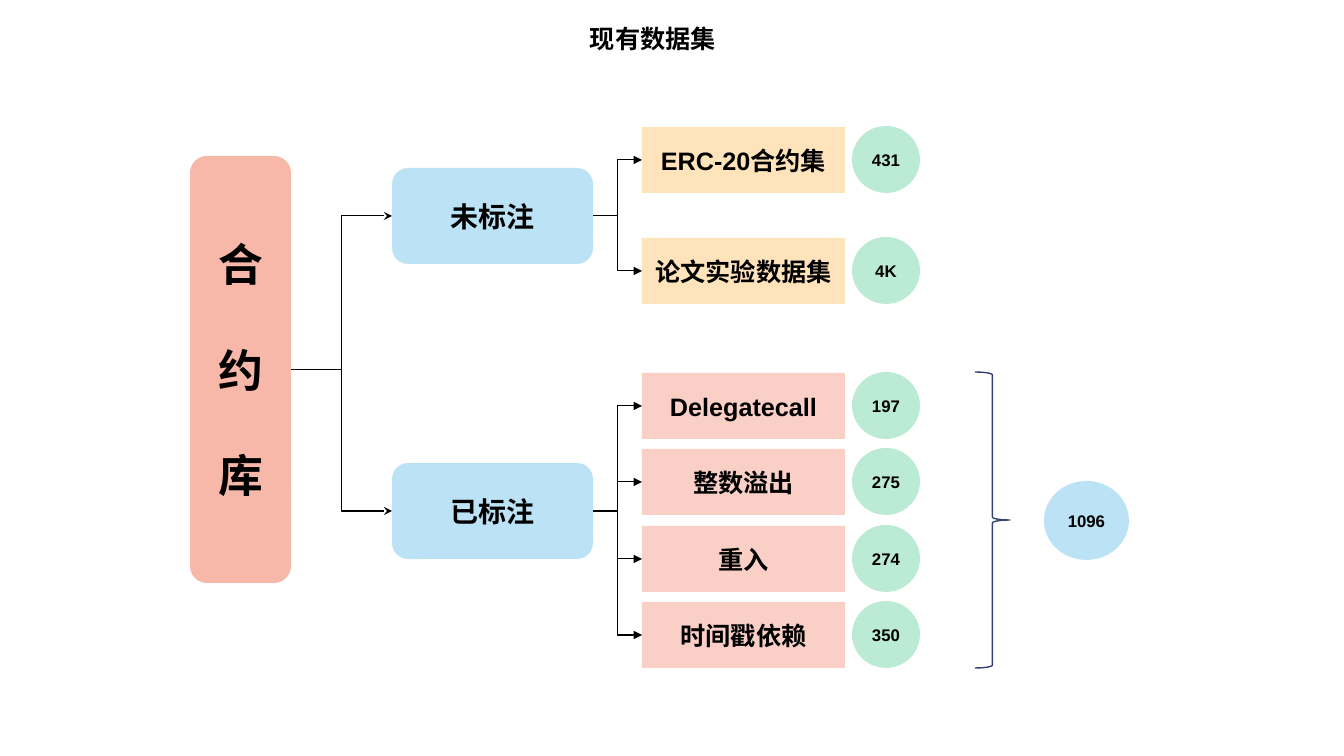
from pptx import Presentation
from pptx.dml.color import RGBColor
from pptx.enum.shapes import MSO_CONNECTOR as Connector, MSO_SHAPE as Preset
from pptx.enum.text import MSO_ANCHOR as Anchor, PP_ALIGN as Align
from pptx.oxml.ns import qn
from pptx.util import Pt
from lxml.etree import SubElement

EMU_PER_PX = 914400 / 100.8
BLACK = RGBColor(0x00, 0x00, 0x00)
NAVY = RGBColor(0x32, 0x42, 0x74)
SALMON = RGBColor(0xF7, 0xB8, 0xA9)
SKY = RGBColor(0xBC, 0xE2, 0xF5)
PEACH = RGBColor(0xFF, 0xE3, 0xBB)
ROSE = RGBColor(0xF9, 0xCF, 0xC6)
MINT = RGBColor(0xBB, 0xEA, 0xD5)
LEFT_SITE, RIGHT_SITE = 1, 3

BRANCHES = [
    ("未标注", 168, PEACH, [
        ("ERC-20合约集", "431", 127),
        ("论文实验数据集", "4K", 238),
    ]),
    ("已标注", 463, ROSE, [
        ("Delegatecall", "197", 373),
        ("整数溢出", "275", 449),
        ("重入", "274", 526),
        ("时间戳依赖", "350", 602),
    ]),
]


def px(length):
    return round(length * EMU_PER_PX)


class DiagramSlide:
    """Draws the boxes, circles and links of a tree diagram on one slide."""

    def __init__(self, presentation, font="Arial"):
        self.slide = presentation.slides.add_slide(presentation.slide_layouts[6])
        self.font = font

    def add_text(self, shape, lines, size, align=Align.CENTER, gap=0, wrap=True):
        frame = shape.text_frame
        frame.word_wrap = wrap
        frame.vertical_anchor = Anchor.MIDDLE
        frame.margin_left = frame.margin_right = 0
        frame.margin_top = frame.margin_bottom = 0
        for index, line in enumerate(lines):
            paragraph = frame.add_paragraph() if index else frame.paragraphs[0]
            paragraph.alignment = align
            if index and gap:
                paragraph.space_before = Pt(gap)
            run = paragraph.add_run()
            run.text = line
            run.font.name = self.font
            run.font.size = Pt(size)
            run.font.bold = True
            run.font.color.rgb = BLACK

    def box(self, preset, bounds, fill, lines, size, gap=0):
        shape = self.slide.shapes.add_shape(preset, *map(px, bounds))
        shape.shadow.inherit = False
        shape.fill.solid()
        shape.fill.fore_color.rgb = fill
        shape.line.fill.background()
        self.add_text(shape, lines, size, gap=gap)
        return shape

    def brace(self, bounds):
        shape = self.slide.shapes.add_shape(Preset.RIGHT_BRACE, *map(px, bounds))
        shape.shadow.inherit = False
        shape.fill.background()
        shape.line.color.rgb = NAVY
        shape.line.width = Pt(1)

    def link(self, source, target, head):
        connector = self.slide.shapes.add_connector(
            Connector.ELBOW,
            source.left + source.width, source.top + source.height // 2,
            target.left, target.top + target.height // 2)
        connector.begin_connect(source, RIGHT_SITE)
        connector.end_connect(target, LEFT_SITE)
        connector.line.color.rgb = BLACK
        connector.line.width = Pt(0.75)
        properties = connector.element.spPr
        SubElement(properties.find(qn("a:ln")), qn("a:tailEnd"), type=head)
        SubElement(properties, qn("a:effectLst"))

    def title(self, bounds, text):
        shape = self.slide.shapes.add_textbox(*map(px, bounds))
        self.add_text(shape, [text], 18, align=Align.LEFT, wrap=False)


def main():
    presentation = Presentation()
    presentation.slide_width = px(1344)
    presentation.slide_height = px(756)
    diagram = DiagramSlide(presentation)

    diagram.title((590, 23, 126, 30), "现有数据集")
    library = diagram.box(Preset.ROUNDED_RECTANGLE, (190, 156, 101, 427),
                          SALMON, "合约库", 32, gap=37)
    for name, top, leaf_fill, leaves in BRANCHES:
        branch = diagram.box(Preset.ROUNDED_RECTANGLE, (392, top, 201, 96),
                             SKY, [name], 20)
        diagram.link(library, branch, "stealth")
        for label, count, leaf_top in leaves:
            leaf = diagram.box(Preset.RECTANGLE, (642, leaf_top, 203, 66),
                               leaf_fill, [label], 18)
            diagram.box(Preset.OVAL, (852, leaf_top - 1, 68, 67),
                        MINT, [count], 12)
            diagram.link(branch, leaf, "triangle")
    diagram.brace((975, 372, 35, 296))
    diagram.box(Preset.OVAL, (1044, 481, 85, 79), SKY, ["1096"], 12)

    presentation.save("out.pptx")


if __name__ == "__main__":
    main()
